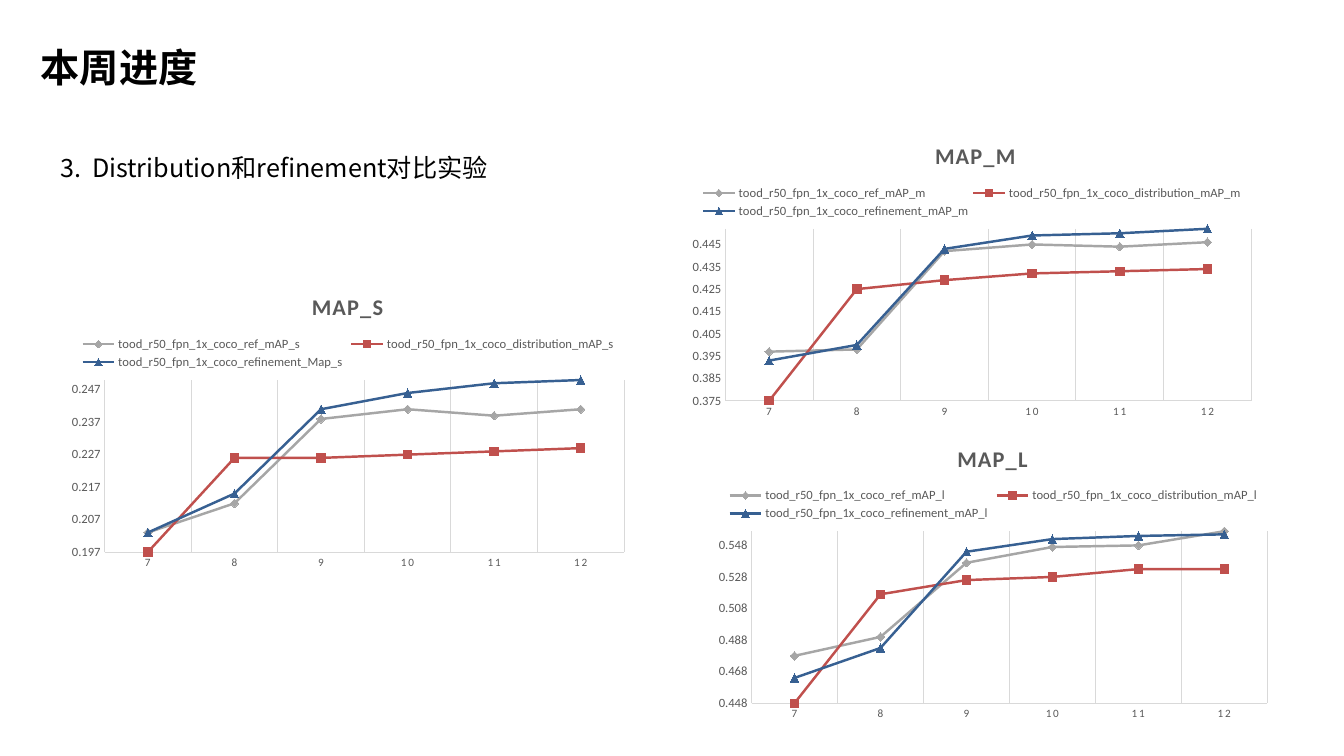
from lxml import etree
from pptx import Presentation
from pptx.chart.data import CategoryChartData
from pptx.dml.color import RGBColor
from pptx.enum.chart import XL_CHART_TYPE, XL_LEGEND_POSITION, XL_TICK_MARK
from pptx.enum.chart import XL_MARKER_STYLE as Marker
from pptx.enum.text import MSO_AUTO_SIZE, PP_ALIGN
from pptx.oxml.ns import qn
from pptx.util import Cm, Pt

BLACK = RGBColor(0x00, 0x00, 0x00)
TEXT_GREY = RGBColor(0x59, 0x59, 0x59)
LINE_GREY = RGBColor(0xD9, 0xD9, 0xD9)
REFERENCE_GREY = RGBColor(0xA6, 0xA6, 0xA6)
DISTRIBUTION_RED = RGBColor(0xC0, 0x50, 0x4D)
REFINEMENT_BLUE = RGBColor(0x37, 0x60, 0x92)

TEXT_FONT = "Noto Sans CJK SC"
CHART_FONT = "Calibri"
EPOCHS = ["7", "8", "9", "10", "11", "12"]
SERIES_STYLES = [
    (REFERENCE_GREY, Marker.DIAMOND),
    (DISTRIBUTION_RED, Marker.SQUARE),
    (REFINEMENT_BLUE, Marker.TRIANGLE),
]
CHARTS = [
    {
        "title": "MAP_S",
        "box": (1.52, 6.88, 14.5, 7.62),
        "scale": (0.197, 0.25, 0.01),
        "series": {
            "ref_mAP_s": (0.203, 0.212, 0.238, 0.241, 0.239, 0.241),
            "distribution_mAP_s": (0.197, 0.226, 0.226, 0.227, 0.228, 0.229),
            "refinement_Map_s": (0.203, 0.215, 0.241, 0.246, 0.249, 0.25),
        },
    },
    {
        "title": "MAP_M",
        "box": (17.15, 3.07, 14.68, 7.62),
        "scale": (0.375, 0.452, 0.01),
        "series": {
            "ref_mAP_m": (0.397, 0.398, 0.442, 0.445, 0.444, 0.446),
            "distribution_mAP_m": (0.375, 0.425, 0.429, 0.432, 0.433, 0.434),
            "refinement_mAP_m": (0.393, 0.4, 0.443, 0.449, 0.45, 0.452),
        },
    },
    {
        "title": "MAP_L",
        "box": (17.83, 10.69, 14.4, 7.62),
        "scale": (0.448, 0.557, 0.02),
        "series": {
            "ref_mAP_l": (0.478, 0.49, 0.537, 0.547, 0.548, 0.557),
            "distribution_mAP_l": (0.448, 0.517, 0.526, 0.528, 0.533, 0.533),
            "refinement_mAP_l": (0.464, 0.483, 0.544, 0.552, 0.554, 0.555),
        },
    },
]


def style_font(font, size, color, name=CHART_FONT, bold=False):
    font.size = Pt(size)
    font.name = name
    font.bold = bold
    font.color.rgb = color


def style_line(line, color, width):
    line.color.rgb = color
    line.width = Pt(width)


def add_text(slide, text, box, size, bold=False, align=PP_ALIGN.LEFT, wrap=True, hanging=None):
    shape = slide.shapes.add_textbox(*map(Cm, box))
    frame = shape.text_frame
    frame.word_wrap = wrap
    frame.auto_size = MSO_AUTO_SIZE.SHAPE_TO_FIT_TEXT
    paragraph = frame.paragraphs[0]
    paragraph.alignment = align
    paragraph.line_spacing = 1.5
    if hanging:
        properties = paragraph._p.get_or_add_pPr()
        properties.set("marL", str(Cm(hanging)))
        properties.set("indent", str(-Cm(hanging)))
    run = paragraph.add_run()
    run.text = text
    style_font(run.font, size, BLACK, TEXT_FONT, bold)
    east_asian = etree.SubElement(run._r.get_or_add_rPr(), qn("a:ea"))
    east_asian.set("typeface", TEXT_FONT)


def set_layout(element, index, **fractions):
    for old_layout in element.findall(qn("c:layout")):
        element.remove(old_layout)
    layout = etree.Element(qn("c:layout"))
    manual = etree.SubElement(layout, qn("c:manualLayout"))
    if "plotArea" in element.tag:
        etree.SubElement(manual, qn("c:layoutTarget")).set("val", "inner")
    for mode in ("xMode", "yMode"):
        etree.SubElement(manual, qn(f"c:{mode}")).set("val", "edge")
    for key, value in fractions.items():
        etree.SubElement(manual, qn(f"c:{key}")).set("val", str(value))
    element.insert(index, layout)


def style_axis(axis, size):
    axis.major_tick_mark = XL_TICK_MARK.NONE
    axis.minor_tick_mark = XL_TICK_MARK.NONE
    style_line(axis.format.line, LINE_GREY, 0.75)
    style_font(axis.tick_labels.font, size, TEXT_GREY)


def style_axes(chart, scale):
    categories, values = chart.category_axis, chart.value_axis
    style_axis(categories, 8)
    categories.has_major_gridlines = True
    style_line(categories.major_gridlines.format.line, LINE_GREY, 0.75)
    for properties in categories._element.iter(qn("a:defRPr")):
        properties.set("spc", "120")
    style_axis(values, 9)
    values.has_major_gridlines = False
    values.minimum_scale, values.maximum_scale, values.major_unit = scale


def add_title(chart, text):
    chart.has_title = True
    title = chart.chart_title
    run = title.text_frame.paragraphs[0].add_run()
    run.text = text
    style_font(run.font, 16, TEXT_GREY, bold=True)
    run._r.get_or_add_rPr().set("spc", "100")
    title.include_in_layout = False
    set_layout(title._element, 1, x=0.43, y=0.05)


def add_legend(chart):
    chart.has_legend = True
    legend = chart.legend
    legend.position = XL_LEGEND_POSITION.TOP
    legend.include_in_layout = False
    style_font(legend.font, 9, TEXT_GREY)
    set_layout(legend._element, 1, x=0.03, y=0.2, w=0.94, h=0.13)


def style_series(series, color, marker):
    series.smooth = False
    style_line(series.format.line, color, 1.75)
    series.marker.style = marker
    series.marker.size = 6
    series.marker.format.fill.solid()
    series.marker.format.fill.fore_color.rgb = color
    series.marker.format.line.color.rgb = color


def add_line_chart(slide, title, box, scale, series):
    data = CategoryChartData(number_format="General")
    data.categories = EPOCHS
    for name, values in series.items():
        data.add_series(f"tood_r50_fpn_1x_coco_{name}", values)
    frame = slide.shapes.add_chart(XL_CHART_TYPE.LINE_MARKERS, *map(Cm, box), data)
    chart = frame.chart
    style_font(chart.font, 10, BLACK)
    add_title(chart, title)
    add_legend(chart)
    style_axes(chart, scale)
    plot = chart.plots[0]
    plot.vary_by_categories = False
    for line, style in zip(plot.series, SERIES_STYLES):
        style_series(line, *style)
    plot_area = chart._chartSpace.find(".//" + qn("c:plotArea"))
    set_layout(plot_area, 0, x=0.077, y=0.354, w=0.903, h=0.569)


def main():
    presentation = Presentation()
    presentation.slide_width = Cm(33.87)
    presentation.slide_height = Cm(19.05)
    slide = presentation.slides.add_slide(presentation.slide_layouts[6])
    add_text(slide, "本周进度", (0.74, 0.38, 4.52, 1.83), 28,
             bold=True, align=PP_ALIGN.CENTER, wrap=False)
    add_text(slide, "3.\tDistribution和refinement对比实验", (1.27, 3.33, 31.32, 2.46), 18,
             hanging=0.8)
    for chart in CHARTS:
        add_line_chart(slide, **chart)
    presentation.save("out.pptx")


if __name__ == "__main__":
    main()
